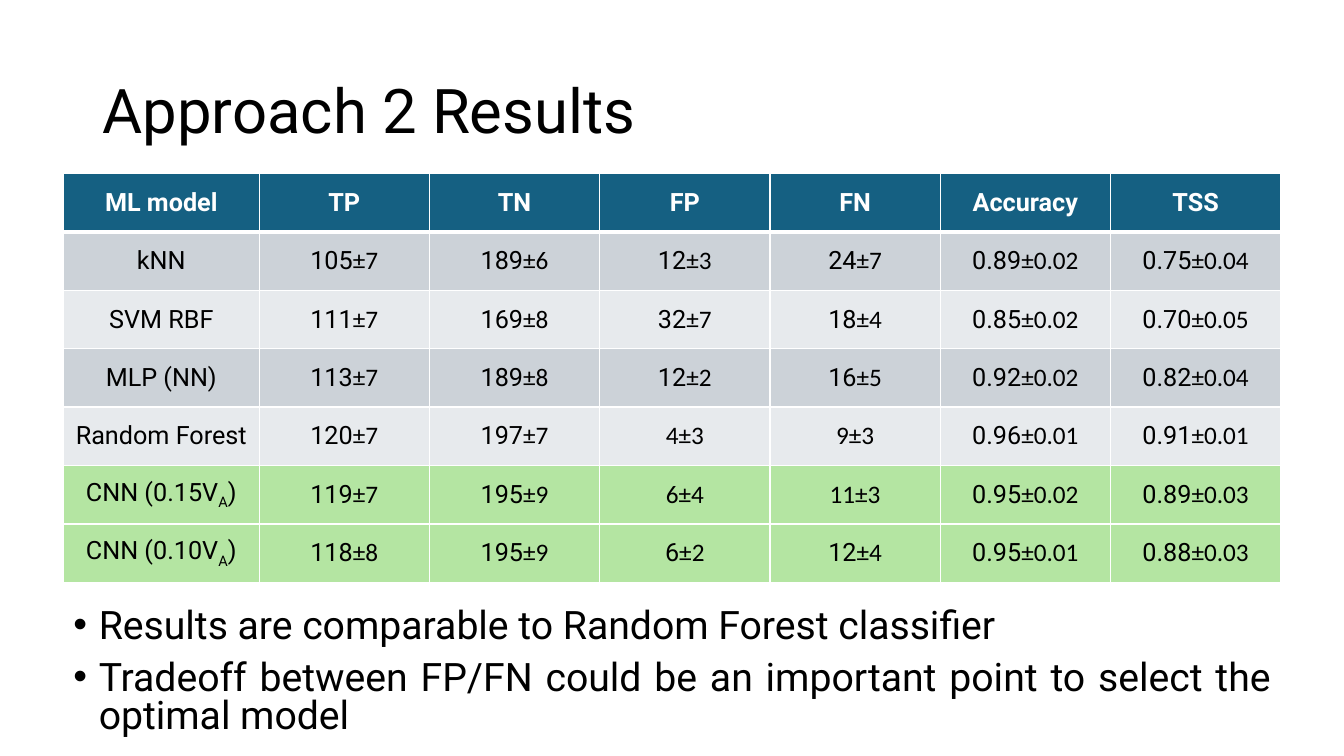
from dataclasses import dataclass

from lxml import etree
from pptx import Presentation
from pptx.dml.color import RGBColor
from pptx.enum.text import MSO_ANCHOR, PP_ALIGN
from pptx.oxml.ns import qn
from pptx.util import Cm, Pt

MIDDLE = MSO_ANCHOR.MIDDLE
CENTER, JUSTIFY = PP_ALIGN.CENTER, PP_ALIGN.JUSTIFY


@dataclass(frozen=True)
class Theme:
    font: str = "Roboto"
    error_font: str = "Calibri"
    ink: str = "000000"
    white: str = "FFFFFF"
    header: str = "156082"
    bands: tuple = ("CCD2D8", "E7EAED")
    highlight: str = "B4E5A2"
    title_size: int = 44
    bullet_size: int = 28
    table_size: int = 18


@dataclass(frozen=True)
class Box:
    left: float
    top: float
    width: float
    height: float

    def lengths(self):
        return [Cm(value) for value in (self.left, self.top, self.width, self.height)]


THEME = Theme()
TITLE = "Approach 2 Results"
HEADINGS = ["ML model", "TP", "TN", "FP", "FN", "Accuracy", "TSS"]
# "_" puts the next letter below the line
RESULTS = [
    ["kNN", "105±7", "189±6", "12±3", "24±7", "0.89±0.02", "0.75±0.04"],
    ["SVM RBF", "111±7", "169±8", "32±7", "18±4", "0.85±0.02", "0.70±0.05"],
    ["MLP (NN)", "113±7", "189±8", "12±2", "16±5", "0.92±0.02", "0.82±0.04"],
    ["Random Forest", "120±7", "197±7", "4±3", "9±3", "0.96±0.01", "0.91±0.01"],
    ["CNN (0.15V_A)", "119±7", "195±9", "6±4", "11±3", "0.95±0.02", "0.89±0.03"],
    ["CNN (0.10V_A)", "118±8", "195±9", "6±2", "12±4", "0.95±0.01", "0.88±0.03"],
]
# Values set wholly in the error font
ERROR_FONT_VALUES = {"4±3", "9±3", "6±4", "11±3"}
BULLETS = [
    "Results are comparable to Random Forest classifier",
    "Tradeoff between FP/FN could be an important point to select the optimal model",
]


def style_font(font, size, color=THEME.ink, name=THEME.font, bold=False):
    font.size = Pt(size)
    font.name = name
    font.bold = bold
    font.color.rgb = RGBColor.from_string(color)


def add_text_frame(page, box):
    frame = page.shapes.add_textbox(*box.lengths()).text_frame
    frame.word_wrap = True
    return frame


def add_title(page, box):
    frame = add_text_frame(page, box)
    frame.vertical_anchor = MIDDLE
    frame.text = TITLE
    para = frame.paragraphs[0]
    para.line_spacing = 0.9
    style_font(para.runs[0].font, THEME.title_size)


def add_bullets(page, box):
    frame = add_text_frame(page, box)
    frame.text = "\n".join(BULLETS)
    for index, para in enumerate(frame.paragraphs):
        para.alignment = JUSTIFY
        para.line_spacing = 0.8
        para.space_before = Pt(10 if index else 0)
        properties = para._p.get_or_add_pPr()
        properties.set("marL", str(Cm(0.64)))
        properties.set("indent", str(-Cm(0.64)))
        etree.SubElement(properties, qn("a:buFont"), typeface="Arial")
        etree.SubElement(properties, qn("a:buChar"), char="•")
        style_font(para.runs[0].font, THEME.bullet_size)


def set_borders(cell, top, bottom):
    properties = cell._tc.get_or_add_tcPr()
    for side, width in (("L", 1), ("R", 1), ("T", top), ("B", bottom)):
        line = etree.SubElement(properties, qn(f"a:ln{side}"), w=str(Pt(width)))
        fill = etree.SubElement(line, qn("a:solidFill"))
        etree.SubElement(fill, qn("a:srgbClr"), val=THEME.white)


def split_spans(text):
    """Return (text, font name, is subscript) for each part of a cell."""
    if text in ERROR_FONT_VALUES:
        return [(text, THEME.error_font, False)]
    if "±" in text:
        mean, error = text.split("±")
        return [(mean, THEME.font, False), (f"±{error}", THEME.error_font, False)]
    if "_" in text:
        base, rest = text.split("_")
        return [(base, THEME.font, False), (rest[0], THEME.font, True),
                (rest[1:], THEME.font, False)]
    return [(text, THEME.font, False)]


def fill_cell(cell, text, row):
    is_header = row == 0
    set_borders(cell, top=3 if row == 1 else 1, bottom=3 if is_header else 1)
    if is_header:
        color = THEME.header
    elif row > 4:
        color = THEME.highlight
    else:
        color = THEME.bands[(row - 1) % 2]
    cell.fill.solid()
    cell.fill.fore_color.rgb = RGBColor.from_string(color)
    cell.vertical_anchor = MIDDLE
    para = cell.text_frame.paragraphs[0]
    para.alignment = CENTER
    for words, font_name, is_subscript in split_spans(text):
        span = para.add_run()
        span.text = words
        style_font(span.font, THEME.table_size, THEME.white if is_header else THEME.ink,
                   font_name, is_header)
        if is_subscript:
            span.font._element.set("baseline", "-25000")


def add_results_table(page, box):
    rows = [HEADINGS, *RESULTS]
    table = page.shapes.add_table(len(rows), len(HEADINGS), *box.lengths()).table
    model_width = 4.93
    value_width = (box.width - model_width) / (len(HEADINGS) - 1)
    for index, column in enumerate(table.columns):
        column.width = Cm(value_width if index else model_width)
    for index, values in enumerate(rows):
        table.rows[index].height = Cm(box.height / len(rows))
        for column, text in enumerate(values):
            fill_cell(table.cell(index, column), text, index)


def main():
    deck = Presentation()
    deck.slide_width, deck.slide_height = Cm(33.87), Cm(19.05)
    page = deck.slides.add_slide(deck.slide_layouts[6])
    add_title(page, Box(2.34, 1.02, 29.21, 3.68))
    add_results_table(page, Box(1.6, 4.37, 30.68, 10.31))
    add_bullets(page, Box(1.6, 15.24, 30.68, 3.51))
    deck.save("out.pptx")


if __name__ == "__main__":
    main()
